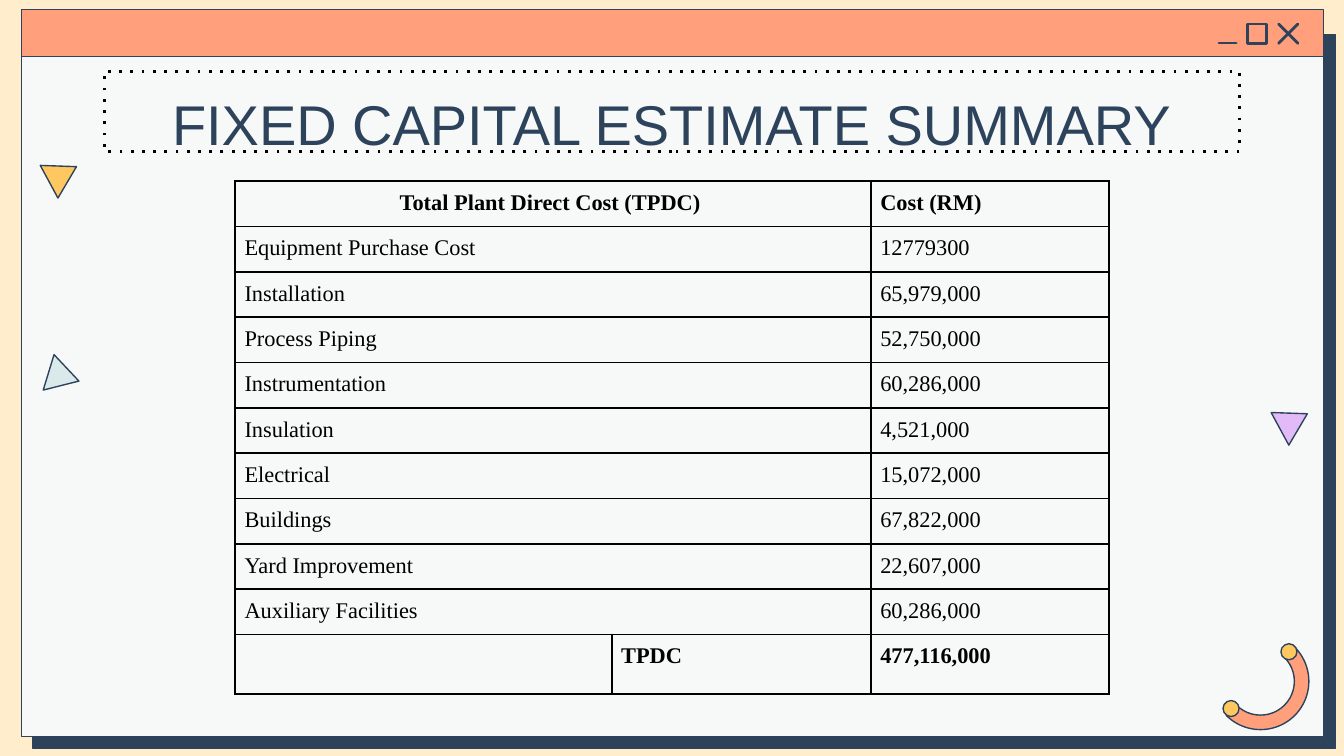
import dataclasses

import lxml.etree
import pptx
import pptx.dml.color
import pptx.enum.shapes
import pptx.enum.text
import pptx.oxml.ns
import pptx.util

Pt = pptx.util.Pt
SHAPE = pptx.enum.shapes.MSO_SHAPE
ALIGN = pptx.enum.text.PP_ALIGN


@dataclasses.dataclass(frozen=True)
class Theme:
    page: str = "FFEDCB"
    panel: str = "F7F9F9"
    navy: str = "2D435B"
    coral: str = "FF9F7C"
    yellow: str = "FFC75F"
    lilac: str = "E1BAF7"
    mint: str = "DAEAEA"
    black: str = "000000"
    title_font: str = "Arial"
    table_font: str = "Times New Roman"
    title_size: float = 30
    table_size: float = 12
    outline: float = 0.75
    icon_line: float = 1.5


COSTS = [
    ("Equipment Purchase Cost", "12779300"),
    ("Installation", "65,979,000"),
    ("Process Piping", "52,750,000"),
    ("Instrumentation", "60,286,000"),
    ("Insulation", "4,521,000"),
    ("Electrical", "15,072,000"),
    ("Buildings", "67,822,000"),
    ("Yard Improvement", "22,607,000"),
    ("Auxiliary Facilities", "60,286,000"),
]


def rgb(color):
    return pptx.dml.color.RGBColor.from_string(color)


def add_xml(parent, tag, **attributes):
    return lxml.etree.SubElement(parent, pptx.oxml.ns.qn(tag), attributes)


class SlideBuilder:
    def __init__(self, deck, theme):
        self.theme = theme
        self.page = deck.slides.add_slide(deck.slide_layouts[5])
        self.shapes = self.page.shapes
        fill = self.page.background.fill
        fill.solid()
        fill.fore_color.rgb = rgb(theme.page)

    def paint(self, shape, fill, line_width):
        shape.shadow.inherit = False
        if fill:
            shape.fill.solid()
            shape.fill.fore_color.rgb = rgb(fill)
        else:
            shape.fill.background()
        shape.line.color.rgb = rgb(self.theme.navy)
        shape.line.width = Pt(line_width)
        return shape

    def shape(self, kind, left, top, width, height, fill=None, line_width=None):
        box = self.shapes.add_shape(kind, Pt(left), Pt(top), Pt(width), Pt(height))
        return self.paint(box, fill, line_width or self.theme.outline)

    def hard_shadow(self, shape, distance, degrees):
        effects = shape._element.spPr.find(pptx.oxml.ns.qn("a:effectLst"))
        shadow = add_xml(effects, "a:outerShdw", blurRad="0", dist=str(Pt(distance)),
                         dir=str(degrees * 60000), algn="bl", rotWithShape="0")
        add_xml(shadow, "a:srgbClr", val=self.theme.navy)

    def line(self, x1, y1, x2, y2):
        stroke = self.shapes.add_connector(
            pptx.enum.shapes.MSO_CONNECTOR.STRAIGHT, Pt(x1), Pt(y1), Pt(x2), Pt(y2))
        stroke.line.color.rgb = rgb(self.theme.navy)
        stroke.line.width = Pt(self.theme.icon_line)
        stroke.line._get_or_add_ln().set("cap", "rnd")
        add_xml(stroke._element.spPr, "a:effectLst")

    def polygon(self, points, fill):
        corners = [(Pt(x), Pt(y)) for x, y in points]
        outline = self.shapes.build_freeform(*corners[0])
        outline.add_line_segments(corners[1:], close=True)
        self.paint(outline.convert_to_shape(), fill, self.theme.outline)

    def add_text(self, frame, text, font, size, color, bold=False, align=ALIGN.LEFT):
        para = frame.paragraphs[0]
        para.alignment = align
        span = para.add_run()
        span.text = text
        span.font.name = font
        span.font.size = Pt(size)
        span.font.bold = bold
        span.font.color.rgb = rgb(color)

    def title(self, text, left, top, width, height):
        box = self.shapes.title
        box.left, box.top, box.width, box.height = map(Pt, (left, top, width, height))
        box.line.color.rgb = rgb(self.theme.black)
        box.line.width = Pt(1.5)
        add_xml(box.line._get_or_add_ln(), "a:prstDash", val="dot")
        frame = box.text_frame
        frame.word_wrap = True
        frame.auto_size = pptx.enum.text.MSO_AUTO_SIZE.NONE
        frame.vertical_anchor = pptx.enum.text.MSO_ANCHOR.TOP
        frame.margin_left = frame.margin_right = frame.margin_bottom = Pt(7.2)
        frame.margin_top = Pt(9.7)
        self.add_text(frame, text, self.theme.title_font, self.theme.title_size,
                      self.theme.navy, align=ALIGN.CENTER)
        # The title stands in front of the window panel
        self.shapes._spTree.append(box._element)

    def style_cell(self, cell):
        properties = cell._tc.get_or_add_tcPr()
        for side in ("a:lnL", "a:lnR", "a:lnT", "a:lnB"):
            border = add_xml(properties, side, w=str(Pt(1)))
            add_xml(add_xml(border, "a:solidFill"), "a:srgbClr", val=self.theme.black)
        cell.fill.background()
        cell.margin_left = cell.margin_right = Pt(5)
        cell.margin_top = cell.margin_bottom = Pt(5)

    def table(self, rows, left, top, widths, heights):
        grid = self.shapes.add_table(len(rows), len(widths), Pt(left), Pt(top),
                                     Pt(sum(widths)), Pt(sum(heights))).table
        grid.first_row = grid.horz_banding = False
        for column, width in zip(grid.columns, widths):
            column.width = Pt(width)
        last = len(rows) - 1
        for index, (row, height) in enumerate(zip(rows, heights)):
            grid.rows[index].height = Pt(height)
            if index < last:
                grid.cell(index, 0).merge(grid.cell(index, 1))
            for column, text in enumerate(row):
                cell = grid.cell(index, column)
                self.style_cell(cell)
                if text:
                    centred = index == 0 and column == 0
                    self.add_text(cell.text_frame, text, self.theme.table_font,
                                  self.theme.table_size, self.theme.black,
                                  bold=index in (0, last),
                                  align=ALIGN.CENTER if centred else ALIGN.LEFT)


def main():
    deck = pptx.Presentation()
    deck.slide_width, deck.slide_height = Pt(720), Pt(405)
    theme = Theme()
    slide = SlideBuilder(deck, theme)

    # Window with its title bar
    panel = slide.shape(SHAPE.RECTANGLE, 11.5, 12.2, 697.7, 382.5, theme.panel)
    slide.hard_shadow(panel, 9, 46)
    slide.shape(SHAPE.RECTANGLE, 11.5, 5, 697.7, 25.2, theme.coral)

    # Window buttons: minimise, maximise, close
    slide.line(653, 23, 662.3, 23)
    slide.shape(SHAPE.RECTANGLE, 668.4, 12.9, 10.3, 10.3, line_width=theme.icon_line)
    slide.line(685, 12.9, 695.3, 23.2)
    slide.line(685, 23.2, 695.3, 12.9)

    # Corner arc with round ends
    arc = slide.shape(SHAPE.BLOCK_ARC, 649.4, 339.1, 51.8, 51.8, theme.coral)
    # Angles are in 1/60000 degree, scaled by 1/100000
    arc.adjustments[0] = 315 * 0.6
    arc.adjustments[1] = 135 * 0.6
    arc.adjustments[2] = 0.15
    for left, top in ((686.2, 344.9), (655.2, 375.3)):
        slide.shape(SHAPE.OVAL, left, top, 8.6, 8.6, theme.yellow)

    # Scattered triangles
    for left, top, color in ((21.6, 88.6, theme.yellow), (681, 221, theme.lilac)):
        slide.polygon([(left, top), (left + 9.5, top + 17.5), (left + 19.4, top + 0.7)],
                      color)
    slide.polygon([(29, 190), (23.2, 209), (42.3, 204.2)], theme.mint)

    # Title
    slide.title("FIXED CAPITAL ESTIMATE SUMMARY", 56, 38.2, 608, 42.8)

    # Cost table
    rows = [("Total Plant Direct Cost (TPDC) ", "", "Cost (RM)")]
    rows += [(item, "", cost) for item, cost in COSTS]
    rows.append(("", "TPDC", "477,116,000"))
    heights = [24.3] * (len(rows) - 1) + [29.7]
    slide.table(rows, 126, 97, (201.8, 138.8, 127.6), heights)

    deck.save("out.pptx")


if __name__ == "__main__":
    main()
